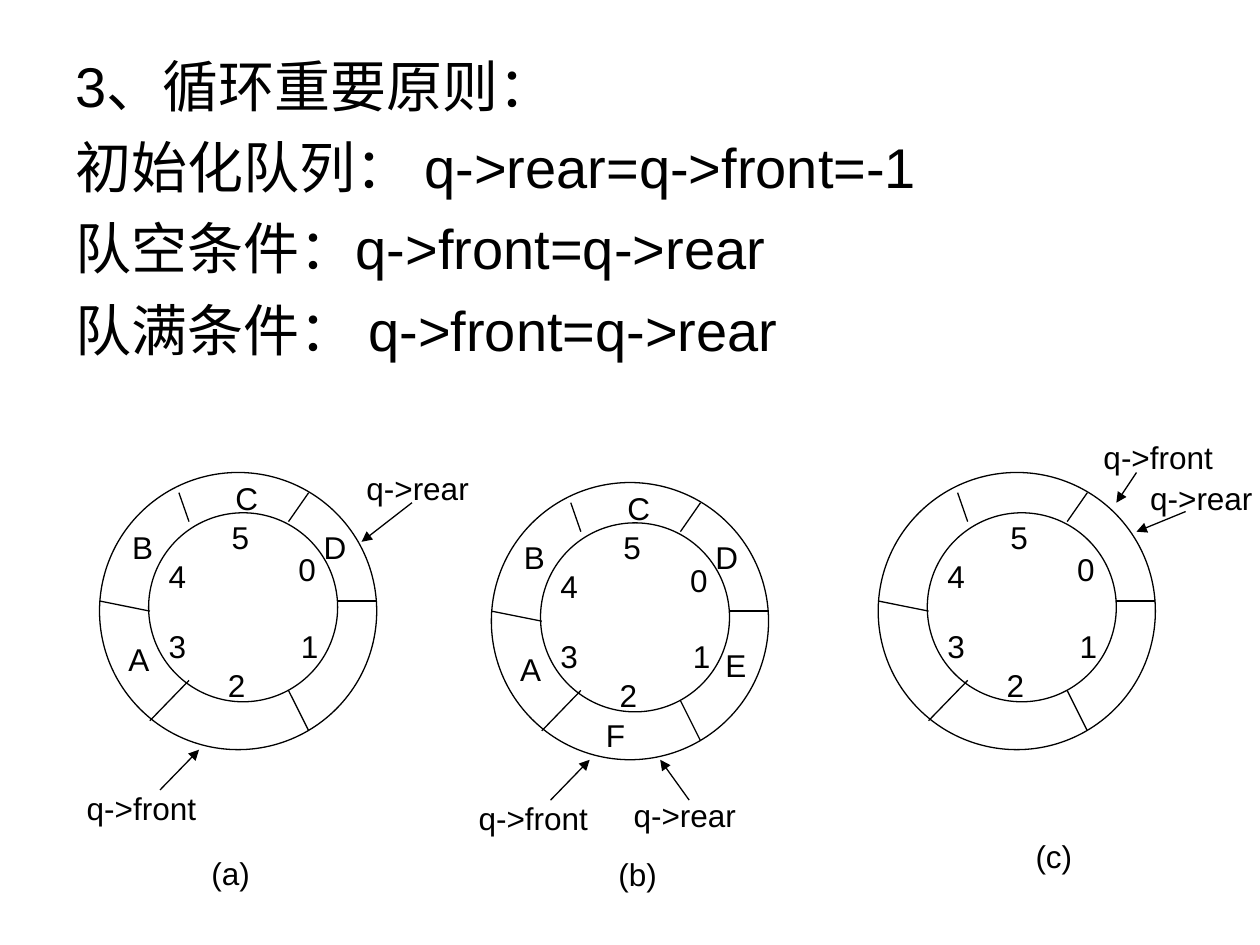
from lxml import etree
from pptx import Presentation
from pptx.dml.color import RGBColor
from pptx.enum.shapes import MSO_CONNECTOR, MSO_SHAPE
from pptx.enum.text import MSO_ANCHOR, MSO_AUTO_SIZE
from pptx.oxml.ns import qn
from pptx.util import Inches, Pt

STRAIGHT = MSO_CONNECTOR.STRAIGHT
OVAL = MSO_SHAPE.OVAL
TOP = MSO_ANCHOR.TOP
FIT = MSO_AUTO_SIZE.SHAPE_TO_FIT_TEXT

COLORS = {"ink": "000000"}
FONT = "Arial"
RULES = [
    "3、循环重要原则：",
    "初始化队列： q->rear=q->front=-1",
    "队空条件：q->front=q->rear",
    "队满条件： q->front=q->rear",
]
OUTER, INNER, INNER_AT = 2.2, 1.5, (0.39, 0.32)
SPOKES = [
    ((0.71, 1.65), (0.4, 1.97)),
    ((0.4, 1.1), (0, 1.02)),
    ((0.71, 0.39), (0.63, 0.16)),
    ((1.5, 0.39), (1.66, 0.16)),
    ((1.89, 1.02), (2.2, 1.02)),
    ((1.5, 1.73), (1.66, 2.05)),
]
SLOTS = {
    "0": (1.48, 0.57), "1": (1.5, 1.18), "2": (0.92, 1.49),
    "3": (0.45, 1.18), "4": (0.45, 0.62), "5": (0.95, 0.31),
}
ITEMS = {
    "A": (0.13, 1.28), "B": (0.16, 0.39), "C": (0.98, 0),
    "D": (1.68, 0.39), "E": (1.76, 1.25), "F": (0.81, 1.8),
}
WIDTHS = {"C": 0.38, "D": 0.38, "A": 0.36, "B": 0.36, "E": 0.36, "F": 0.35,
          "q->front": 1.07, "q->rear": 1.01, "(a)": 0.52, "(b)": 0.52, "(c)": 0.52}
DIGIT_WIDTH = 0.34
RINGS = [
    {"at": (0.79, 3.75), "items": "ABCD", "caption": ("(a)", (1.58, 6.73)),
     "pointers": [("q->front", (0.59, 6.21), (1.27, 6.27), (1.58, 5.95)),
                  ("q->rear", (2.81, 3.67), (3.27, 3.99), (2.87, 4.3))]},
    {"at": (3.9, 3.83), "items": "ABCDEF", "caption": ("(b)", (4.81, 6.74)),
     "pointers": [("q->front", (3.7, 6.29), (4.37, 6.35), (4.68, 6.03)),
                  ("q->rear", (4.93, 6.27), (5.47, 6.35), (5.24, 6.03))]},
    {"at": (6.97, 3.75), "items": "", "caption": ("(c)", (8.12, 6.59)),
     "pointers": [("q->front", (8.66, 3.43), (9.02, 3.75), (8.86, 3.99)),
                  ("q->rear", (9.03, 3.75), (9.41, 4.06), (9.02, 4.22))]},
]


def shift(origin, offset):
    return origin[0] + offset[0], origin[1] + offset[1]


def style_font(font, size):
    for name, value in {"name": FONT, "size": Pt(size)}.items():
        setattr(font, name, value)
    font.color.rgb = RGBColor.from_string(COLORS["ink"])


def style_line(line):
    line.width = Pt(0.75)
    line.color.rgb = RGBColor.from_string(COLORS["ink"])


def add_label(s, text, at):
    width = WIDTHS.get(text, DIGIT_WIDTH)
    tf = s.shapes.add_textbox(*map(Inches, (*at, width, 0.4))).text_frame
    for name, value in {"word_wrap": False, "auto_size": FIT}.items():
        setattr(tf, name, value)
    r = tf.paragraphs[0].add_run()
    r.text = text
    style_font(r.font, 18)


def add_circle(s, at, size):
    sp = s.shapes.add_shape(OVAL, *map(Inches, (*at, size, size)))
    sp.shadow.inherit = False
    sp.fill.background()
    style_line(sp.line)


def add_line(s, start, end, arrow=False):
    sp = s.shapes.add_connector(STRAIGHT, *map(Inches, (*start, *end)))
    style_line(sp.line)
    if arrow:
        etree.SubElement(sp.line._get_or_add_ln(), qn("a:tailEnd"), type="triangle")
    etree.SubElement(sp._element.spPr, qn("a:effectLst"))


def add_rules(s):
    tf = s.shapes.add_textbox(*map(Inches, (0.5, 0.36, 9, 6.34))).text_frame
    for name, value in {"word_wrap": True, "vertical_anchor": TOP}.items():
        setattr(tf, name, value)
    for i, text in enumerate(RULES):
        p = tf.add_paragraph() if i else tf.paragraphs[0]
        p._p.get_or_add_pPr().attrib.update(
            {"marL": str(Inches(0.38)), "indent": str(Inches(-0.38))})
        if i:
            p.space_before = Pt(8)
        r = p.add_run()
        r.text = text
        style_font(r.font, 32)


def add_ring(s, ring):
    origin = ring["at"]
    add_circle(s, shift(origin, INNER_AT), INNER)
    add_circle(s, origin, OUTER)
    for start, end in SPOKES:
        add_line(s, shift(origin, start), shift(origin, end))
    for item in ring["items"]:
        add_label(s, item, shift(origin, ITEMS[item]))
    for slot, offset in SLOTS.items():
        add_label(s, slot, shift(origin, offset))
    for text, at, start, end in ring["pointers"]:
        add_label(s, text, at)
        add_line(s, start, end, arrow=True)
    add_label(s, *ring["caption"])


def main():
    prs = Presentation()
    prs.slide_width, prs.slide_height = Inches(10), Inches(7.5)
    s = prs.slides.add_slide(prs.slide_layouts[6])
    add_rules(s)
    for ring in RINGS:
        add_ring(s, ring)
    prs.save("out.pptx")


if __name__ == "__main__":
    main()
